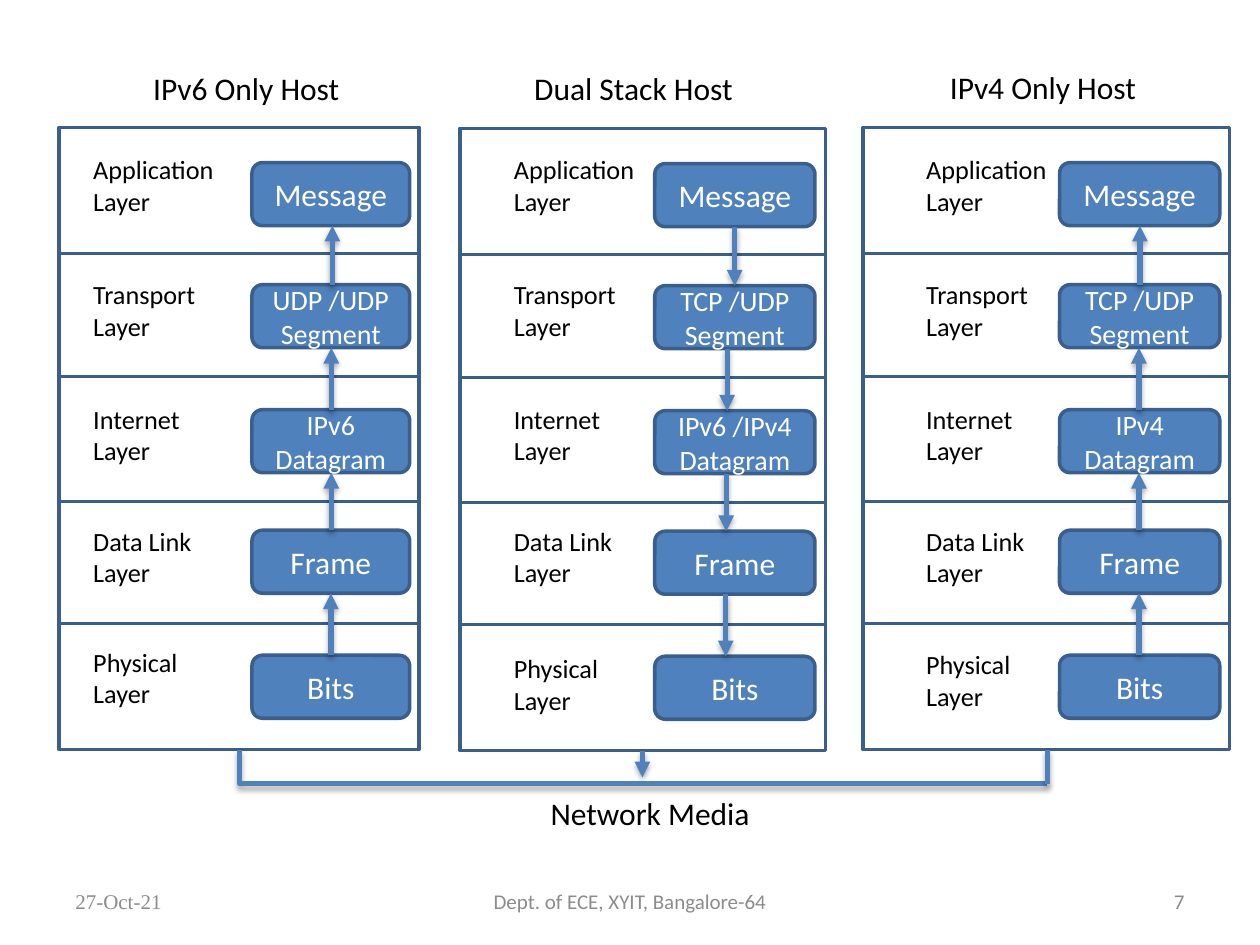
from dataclasses import dataclass
from itertools import pairwise

from lxml.etree import SubElement
from pptx import Presentation
from pptx.dml.color import RGBColor
from pptx.enum.shapes import MSO_CONNECTOR, MSO_SHAPE
from pptx.enum.text import MSO_ANCHOR, PP_ALIGN
from pptx.oxml import parse_xml
from pptx.oxml.ns import nsdecls, qn
from pptx.util import Cm, Pt

BLUE = RGBColor(0x4F, 0x81, 0xBD)
NAVY = RGBColor(0x3A, 0x5F, 0x8C)
WHITE = RGBColor(0xFF, 0xFF, 0xFF)
BLACK = RGBColor(0x00, 0x00, 0x00)
GREY = RGBColor(0x8C, 0x8C, 0x8C)

SHADOW = (
    f'<a:effectLst {nsdecls("a")}>'
    '<a:outerShdw blurRad="40000" dist="23000" dir="5400000" rotWithShape="0">'
    '<a:srgbClr val="000000"><a:alpha val="35000"/></a:srgbClr>'
    '</a:outerShdw></a:effectLst>'
)


@dataclass
class Host:
    title: str
    title_left: float
    title_top: float
    left: float
    width: float
    label_left: float
    physical_top: float
    unit_left: float
    unit_width: float
    units: tuple
    arrow_xs: tuple
    sends: bool = False
    drop: float = 0


LAYERS = ("Application Layer", "Transport Layer", "Internet Layer",
          "Data Link Layer", "Physical Layer")
BAND_TOPS = (2.57, 5.11, 7.59, 10.11, 12.57)
UNIT_TOPS = (3.28, 5.74, 8.26, 10.69, 13.21)
LABEL_TOPS = (2.97, 5.49, 8, 10.46)
BAND_HEIGHT = 2.54
UNIT_HEIGHT = 1.27

HOSTS = (
    Host("IPv6 Only Host", 2.84, 1.27, 1.19, 7.26, 1.63, 12.9, 5.08, 3.18,
         ("Message", "UDP /UDP Segment", "IPv6 Datagram", "Frame", "Bits"),
         (6.7, 6.68, 6.68, 6.67)),
    Host("Dual Stack Host", 10.52, 1.27, 9.27, 7.37, 10.11, 13.03, 13.2, 3.23,
         ("Message", "TCP /UDP Segment", "IPv6 /IPv4 Datagram", "Frame", "Bits"),
         (14.81, 14.66, 14.64, 14.63), sends=True, drop=0.02),
    Host("IPv4 Only Host", 18.9, 1.24, 17.4, 7.39, 18.42, 12.95, 21.36, 3.23,
         ("Message", "TCP /UDP Segment", "IPv4 Datagram", "Frame", "Bits"),
         (22.98, 22.96, 22.96, 22.96)),
)


class StackPage:
    font = "Calibri"

    def __init__(self, deck):
        self.page = deck.slides.add_slide(deck.slide_layouts[6])

    def set_text(self, box, text, size, color, align, anchor, font=None):
        frame = box.text_frame
        frame.word_wrap = True
        frame.vertical_anchor = anchor
        frame.text = text
        para = frame.paragraphs[0]
        para.alignment = align
        for span in para.runs:
            span.font.name = font or self.font
            span.font.size = Pt(size)
            span.font.color.rgb = color

    def text(self, text, left, top, width, height=1.02, size=18, color=BLACK,
             align=PP_ALIGN.LEFT, anchor=MSO_ANCHOR.TOP, font=None):
        box = self.page.shapes.add_textbox(Cm(left), Cm(top), Cm(width), Cm(height))
        self.set_text(box, text, size, color, align, anchor, font)

    def footer(self, text, left, width, align, font=None):
        self.text(text, left, 17.65, width, size=12, color=GREY, align=align,
                  anchor=MSO_ANCHOR.MIDDLE, font=font)

    def block(self, kind, left, top, width, height, fill):
        box = self.page.shapes.add_shape(kind, Cm(left), Cm(top), Cm(width), Cm(height))
        box.shadow.inherit = False
        box.fill.solid()
        box.fill.fore_color.rgb = fill
        box.line.color.rgb = NAVY
        box.line.width = Pt(2)
        return box

    def band(self, left, top, width):
        self.block(MSO_SHAPE.RECTANGLE, left, top, width, BAND_HEIGHT, WHITE)

    def unit(self, text, left, top, width):
        box = self.block(MSO_SHAPE.ROUNDED_RECTANGLE, left, top, width, UNIT_HEIGHT, BLUE)
        size = 16 if " " in text else 18
        self.set_text(box, text, size, WHITE, PP_ALIGN.CENTER, MSO_ANCHOR.MIDDLE)

    def line(self, start, end, kind=MSO_CONNECTOR.STRAIGHT, arrow=False):
        points = [Cm(value) for value in (*start, *end)]
        connector = self.page.shapes.add_connector(kind, *points)
        connector.line.color.rgb = BLUE
        connector.line.width = Pt(3)
        properties = connector._element.spPr
        if arrow:
            SubElement(properties.find(qn("a:ln")), qn("a:tailEnd"), type="triangle")
        properties.append(parse_xml(SHADOW))
        return connector

    def corner(self, start, end):
        middle_x = (start[0] + end[0]) / 2
        middle_y = (start[1] + end[1]) / 2
        half_run = (end[0] - start[0]) / 2
        half_drop = (end[1] - start[1]) / 2
        connector = self.line((middle_x + half_drop, middle_y - half_run),
                              (middle_x - half_drop, middle_y + half_run),
                              MSO_CONNECTOR.ELBOW)
        properties = connector._element.spPr
        properties.find(qn("a:xfrm")).set("rot", "16200000")
        properties.find(qn("a:prstGeom")).set("prst", "bentConnector2")

    def host(self, host):
        self.text(host.title, host.title_left, host.title_top, 4.88)
        for top in BAND_TOPS:
            self.band(host.left, top + host.drop, host.width)
        for label, top in zip(LAYERS, (*LABEL_TOPS, host.physical_top)):
            self.text(label, host.label_left, top, 3, 1.55, size=15)
        unit_tops = [top + host.drop for top in UNIT_TOPS]
        for unit, top in zip(host.units, unit_tops):
            self.unit(unit, host.unit_left, top, host.unit_width)
        for x, (upper, lower) in zip(host.arrow_xs, pairwise(unit_tops)):
            ends = [(x, upper + UNIT_HEIGHT), (x, lower)]
            if not host.sends:
                ends.reverse()
            self.line(*ends, arrow=True)


def main():
    deck = Presentation()
    deck.slide_width, deck.slide_height = Cm(25.4), Cm(19.05)
    page = StackPage(deck)
    for host in HOSTS:
        page.host(host)

    stack_bottom, media_y = 15.11, 15.8
    page.corner((4.83, stack_bottom), (21.11, media_y))
    page.line((21.11, stack_bottom), (21.11, media_y))
    page.line((12.95, 15.14), (12.95, 15.67), arrow=True)
    page.text("Network Media", 10.85, 15.88, 4.55)

    page.footer("27-Oct-21", 1.27, 2.54, PP_ALIGN.LEFT, "Times New Roman")
    page.footer("Dept. of ECE, XYIT, Bangalore-64", 8.68, 8.04, PP_ALIGN.CENTER)
    page.footer("7", 18.2, 5.93, PP_ALIGN.RIGHT)
    deck.save("out.pptx")


if __name__ == "__main__":
    main()
